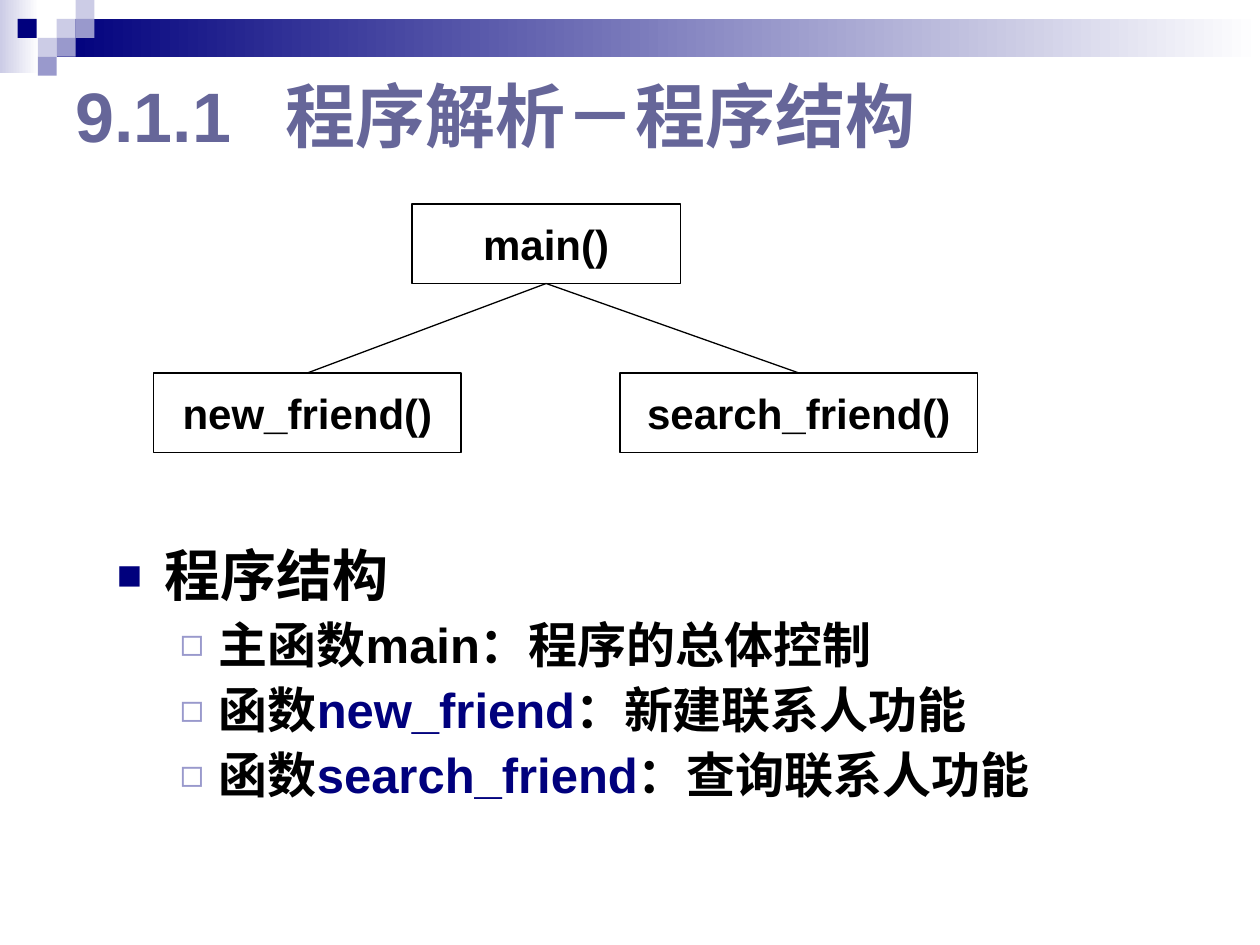
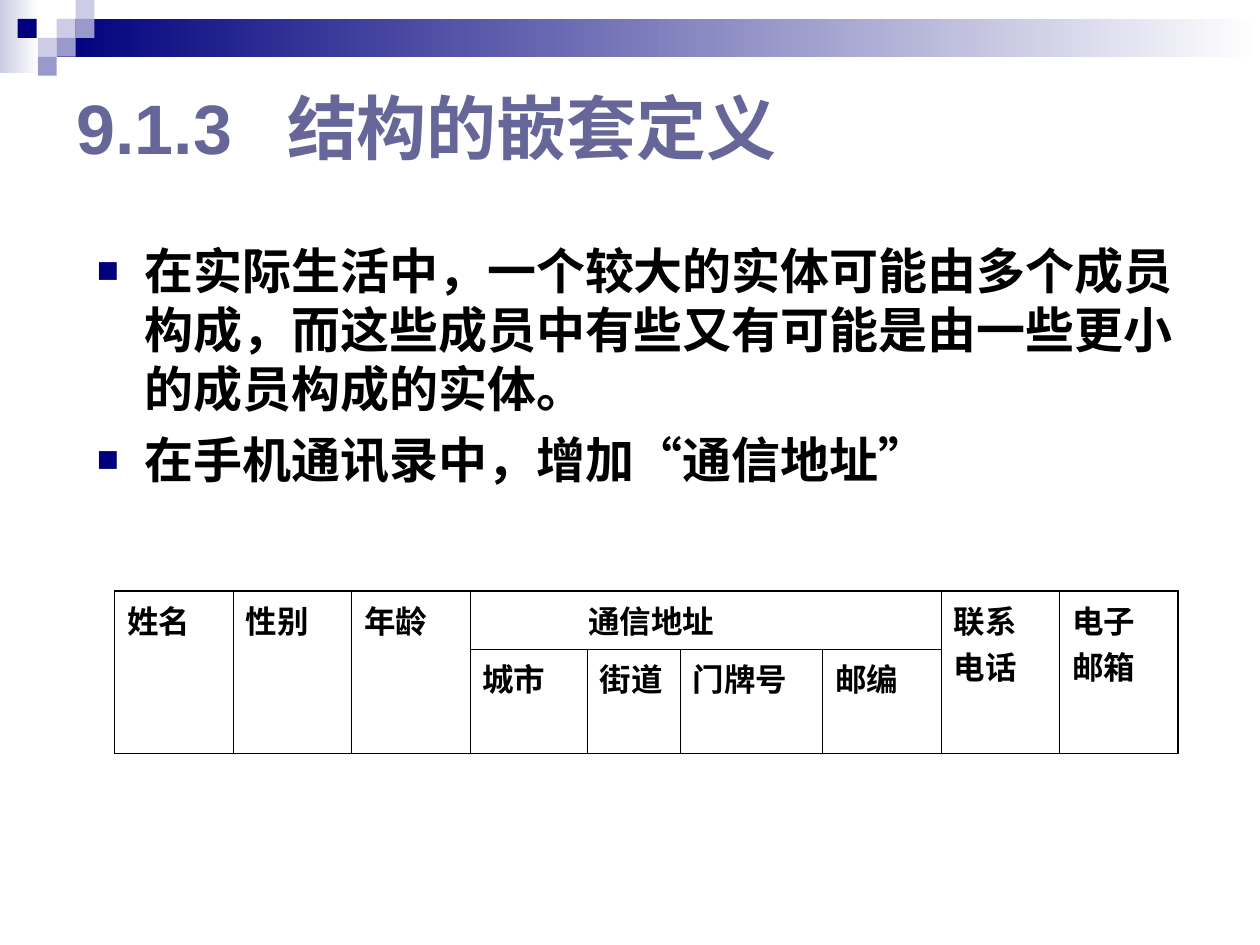
"""Build two slides on program structure and nested structure definitions."""
import pptx
import pptx.dml.color
import pptx.enum.shapes
import pptx.enum.text
import pptx.oxml.ns
import pptx.util
import lxml.etree

Inches = pptx.util.Inches
Pt = pptx.util.Pt
RGB = pptx.dml.color.RGBColor.from_string
qn = pptx.oxml.ns.qn
sub = lxml.etree.SubElement
MIDDLE = pptx.enum.text.MSO_ANCHOR.MIDDLE
CENTER = pptx.enum.text.PP_ALIGN.CENTER

HUES = {"navy": "00007D", "mid": "9999CC", "pale": "CCCCE6",
        "title": "666699", "black": "000000", "white": "FFFFFF"}
CJK = "Noto Sans CJK SC"
BULLETS = [("■", "navy", 75, 0.38, 0.38), ("◻", "mid", 80, 0.81, 0.31)]


def write(para, text, size=18, hue="black", font="Arial", align=None,
          level=None, before=0, lead=None, tab=None):
    """Fill a paragraph with a string or a list of (text, hue) runs."""
    props = para._p.get_or_add_pPr()
    if level is not None:
        mark, tint, scale, left, hang = BULLETS[level]
        para.level = level
        props.set("marL", str(Inches(left)))
        props.set("indent", str(-Inches(hang)))
        sub(sub(props, qn("a:buClr")), qn("a:srgbClr"), val=HUES[tint])
        sub(props, qn("a:buSzPct"), val=str(scale * 1000))
        sub(props, qn("a:buFont"), typeface="Arial")
        sub(props, qn("a:buChar"), char=mark)
    if tab:
        sub(sub(props, qn("a:tabLst")), qn("a:tab"), pos=str(Inches(tab)), algn="l")
    para.alignment = align
    para.space_before = Pt(before)
    if lead:
        para.line_spacing = lead
    for words, tint in [(text, hue)] if isinstance(text, str) else text:
        run = para.add_run()
        run.text = words
        run.font.size = Pt(size)
        run.font.bold = True
        run.font.color.rgb = RGB(HUES[tint])
        run.font.name = font
        sub(run._r.get_or_add_rPr(), qn("a:ea"), typeface=CJK)


def rect(slide, left, top, width, height, *hues):
    """Add a borderless rectangle, with a gradient when given two hues."""
    shape = slide.shapes.add_shape(pptx.enum.shapes.MSO_SHAPE.RECTANGLE, Inches(left),
                                   Inches(top), Inches(width), Inches(height))
    shape.shadow.inherit = False
    shape.line.fill.background()
    if len(hues) == 1:
        shape.fill.solid()
        shape.fill.fore_color.rgb = RGB(HUES[hues[0]])
    else:
        shape.fill.gradient()
        shape.fill.gradient_angle = 180
        for stop, hue in zip(shape.fill.gradient_stops, hues):
            stop.color.rgb = RGB(HUES[hue])
    return shape


deck = pptx.Presentation()
deck.slide_width, deck.slide_height = Inches(10), Inches(7.5)

tiles = [(0.45, 0.15, "pale"), (0.6, 0, "pale"), (0.6, 0.15, "mid"), (0.3, 0.3, "pale"),
         (0.14, 0.15, "navy"), (0.45, 0.3, "mid"), (0.3, 0.45, "mid")]
pages = [("9.1.1\t程序解析－程序结构", (0.5, 0.5, 7.02, 0.81), (0.83, 4.3, 8.43, 2.21)),
         ("9.1.3\t结构的嵌套定义", (0.51, 0.6, 7.1, 0.81), (0.67, 1.86, 8.9, 2.36))]
slides, frames = [], []
for title, head, body in pages:
    slide = deck.slides.add_slide(deck.slide_layouts[6])
    rect(slide, 0, 0, 0.31, 0.58, "white", "pale")
    rect(slide, 0.45, 0.15, 9.55, 0.3, "white", "navy")
    for left, top, hue in tiles:
        rect(slide, left, top, 0.15, 0.15, hue)
    top_frame, frame = [slide.shapes.add_textbox(*map(Inches, place)).text_frame
                        for place in (head, body)]
    top_frame.word_wrap = frame.word_wrap = True
    top_frame.vertical_anchor = MIDDLE
    write(top_frame.paragraphs[0], title, size=40, hue="title", tab=1.67)
    slides.append(slide)
    frames.append(frame)

tree, nest = slides
lines = ["主函数main：程序的总体控制",
         [("函数", "black"), ("new_friend", "navy"), ("：新建联系人功能", "black")],
         [("函数", "black"), ("search_friend", "navy"), ("：查询联系人功能", "black")]]
write(frames[0].paragraphs[0], "程序结构", size=32, level=0, lead=0.9)
for line in lines:
    write(frames[0].add_paragraph(), line, size=28, level=1, before=7, lead=0.9)

nodes = []
for name, left, top, width in [("main()", 3.27, 1.62, 2.13),
                               ("new_friend()", 1.22, 2.96, 2.44),
                               ("search_friend()", 4.92, 2.96, 2.84)]:
    node = rect(tree, left, top, width, 0.63, "white")
    node.line.color.rgb = RGB(HUES["black"])
    node.line.width = Pt(0.75)
    node.text_frame.word_wrap = False
    node.text_frame.vertical_anchor = MIDDLE
    write(node.text_frame.paragraphs[0], name, size=24, align=CENTER)
    nodes.append(node)
for child in nodes[1:]:
    link = tree.shapes.add_connector(pptx.enum.shapes.MSO_CONNECTOR.STRAIGHT, 0, 0, 0, 0)
    link.begin_connect(nodes[0], 2)
    link.end_connect(child, 0)
    link.line.color.rgb = RGB(HUES["black"])
    link.line.width = Pt(0.75)
    sub(link._element.spPr, qn("a:effectLst"))

write(frames[1].paragraphs[0],
      "在实际生活中，一个较大的实体可能由多个成员构成，而这些成员中有些又有可能是由一些更小的成员构成的实体。",
      size=28, font=CJK, level=0)
write(frames[1].add_paragraph(), "在手机通讯录中，增加“通信地址”",
      size=28, font=CJK, level=0, before=7)

widths = [0.94, 0.94, 0.94, 0.93, 0.74, 1.13, 0.94, 0.94, 0.94]
heights = [0.46, 0.83]
rows = [["姓名", "性别", "年龄", "通信地址", "", "", "", "联系电话", "电子邮箱"],
        ["", "", "", "城市", "街道", "门牌号", "邮编", "", ""]]
grid = nest.shapes.add_table(2, 9, Inches(0.91), Inches(4.69), Inches(sum(widths)),
                             Inches(sum(heights))).table
grid.first_row = grid.horz_banding = False
for col, width in zip(grid.columns, widths):
    col.width = Inches(width)
for row, height in zip(grid.rows, heights):
    row.height = Inches(height)
grid.cell(0, 3).merge(grid.cell(0, 6))
for c in (0, 1, 2, 7, 8):
    grid.cell(0, c).merge(grid.cell(1, c))
for r, row in enumerate(rows):
    for c, text in enumerate(row):
        cell = grid.cell(r, c)
        outer = {"L": c == 0, "R": c == 8, "T": r == 0,
                 "B": r == 1 or cell.span_height == 2}
        for side, thick in outer.items():
            edge = sub(cell._tc.get_or_add_tcPr(), qn("a:ln" + side),
                       w=str(Pt(1.08 if thick else 0.45)))
            sub(sub(edge, qn("a:solidFill")), qn("a:srgbClr"), val=HUES["black"])
        cell.fill.background()
        if text:
            write(cell.text_frame.paragraphs[0], text)
grid.cell(0, 3).margin_left = Inches(0.94)

deck.save("out.pptx")
